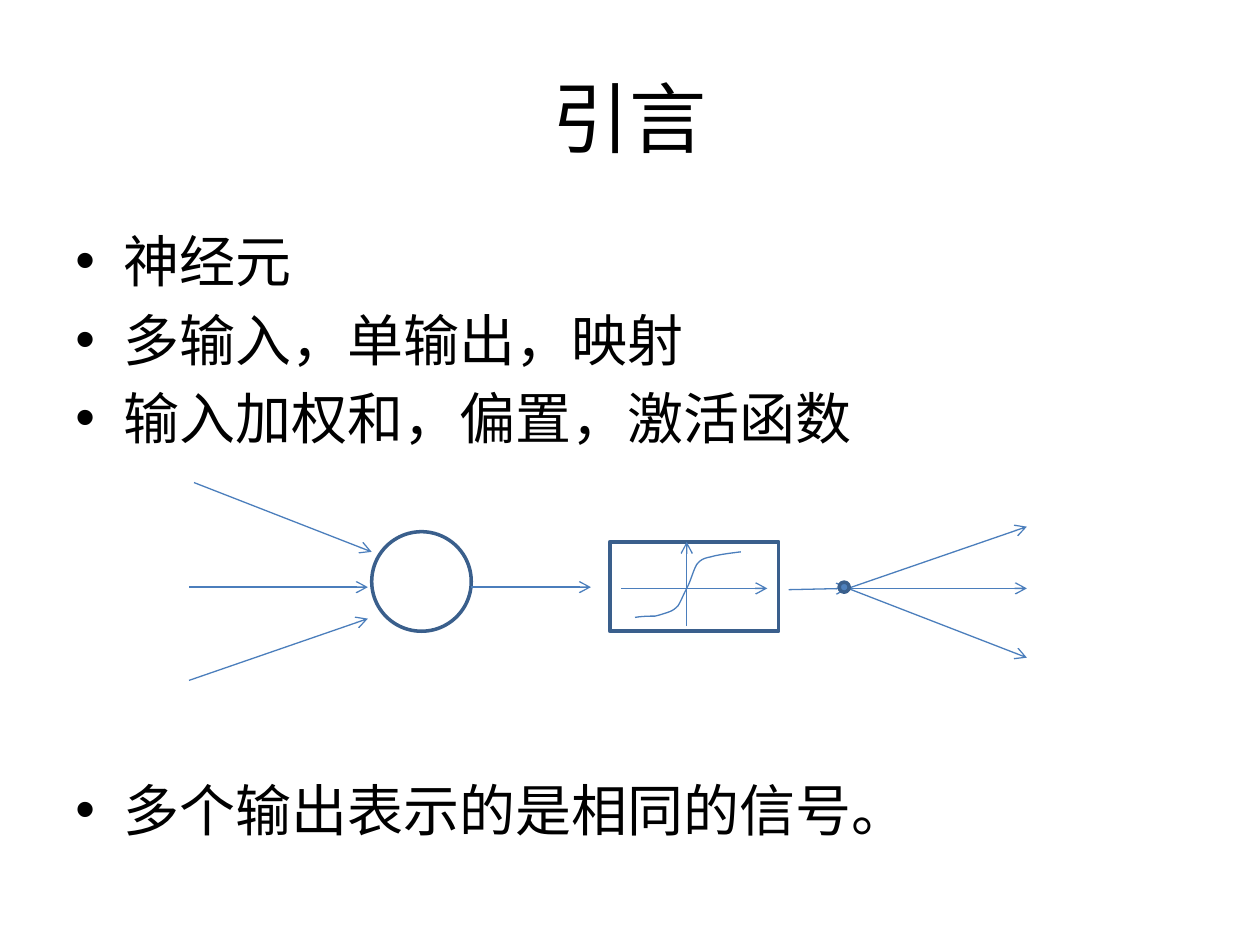
from pptx import Presentation
from pptx.dml.color import RGBColor
from pptx.enum.shapes import MSO_CONNECTOR, MSO_SHAPE
from pptx.enum.text import MSO_ANCHOR, PP_ALIGN
from pptx.oxml.ns import qn
from pptx.util import Inches, Pt
from lxml.etree import SubElement

BLACK, LINE, OUTLINE, FILL = "000000", "4B7EBC", "3A5F8C", "4F81BD"
BULLETS = ["神经元", "多输入，单输出，映射", "输入加权和，偏置，激活函数", "多个输出表示的是相同的信号。"]
BULLET_GAPS = [0, 6.4, 6.4, 185.5]  # the last gap leaves room for the neuron diagram
NODE = (6.73, 4.67)
ARROWS = [
    ((1.54, 3.83), (2.95, 4.38)),
    ((1.5, 4.66), (2.92, 4.66)),
    ((1.5, 5.4), (2.92, 4.91)),
    ((3.74, 4.66), (4.69, 4.66)),
    ((6.26, 4.68), NODE),
    *((NODE, (8.15, y)) for y in (4.18, 4.67, 5.22)),
]
AXES = [((4.93, 4.67), (6.09, 4.67)), ((5.45, 4.97), (5.45, 4.3))]
SIGMOID_START = (5.04, 4.9)
SIGMOID = [  # two control points and an end point per cubic segment
    ((5.1, 4.89), (5.16, 4.89), (5.2, 4.89)),
    ((5.24, 4.88), (5.27, 4.87), (5.3, 4.86)),
    ((5.33, 4.85), (5.35, 4.84), (5.38, 4.81)),
    ((5.4, 4.78), (5.42, 4.73), (5.45, 4.67)),
    ((5.48, 4.62), (5.5, 4.53), (5.53, 4.48)),
    ((5.56, 4.44), (5.59, 4.43), (5.64, 4.42)),
    ((5.7, 4.4), (5.88, 4.38), (5.88, 4.38)),
]


def rgb(color):
    return RGBColor.from_string(color)


def set_line(s, color, width):
    s.line.color.rgb = rgb(color)
    s.line.width = Pt(width)


def add_bullet(p, indent=0.38):
    pPr = p._p.get_or_add_pPr()
    pPr.set("marL", str(Inches(indent)))
    pPr.set("indent", str(-Inches(indent)))
    SubElement(pPr, qn("a:buFont"), typeface="Arial")
    SubElement(pPr, qn("a:buChar"), char="•")


def add_text(slide, box, lines, size, gaps=(0,), align=PP_ALIGN.LEFT,
             anchor=MSO_ANCHOR.TOP, bullet=False):
    tf = slide.shapes.add_textbox(*map(Inches, box)).text_frame
    tf.word_wrap = True
    tf.vertical_anchor = anchor
    for i, (line, gap) in enumerate(zip(lines, gaps)):
        p = tf.add_paragraph() if i else tf.paragraphs[0]
        p.alignment = align
        p.space_before = Pt(gap)
        if bullet:
            add_bullet(p)
        r = p.add_run()
        r.text = line
        r.font.name = "Calibri"
        r.font.size = Pt(size)
        r.font.color.rgb = rgb(BLACK)


def add_outline(slide, kind, box, fill=None):
    s = slide.shapes.add_shape(kind, *map(Inches, box))
    s.shadow.inherit = False
    set_line(s, OUTLINE, 2)
    if fill:
        s.fill.solid()
        s.fill.fore_color.rgb = rgb(fill)
    else:
        s.fill.background()


def add_arrow(slide, start, end):
    s = slide.shapes.add_connector(MSO_CONNECTOR.STRAIGHT, *map(Inches, start + end))
    set_line(s, LINE, 0.75)
    SubElement(s.line._get_or_add_ln(), qn("a:tailEnd"), type="arrow")
    SubElement(s._element.spPr, qn("a:effectLst"))


def curve_points(start, segments, steps=6):
    """Sample a chain of cubic Bézier segments."""
    points = []
    for a, b, end in segments:
        for t in (i / steps for i in range(1, steps + 1)):
            u = 1 - t
            points.append(tuple(
                u**3 * p0 + 3 * u * u * t * p1 + 3 * u * t * t * p2 + t**3 * p3
                for p0, p1, p2, p3 in zip(start, a, b, end)))
        start = end
    return points


def add_curve(slide, start, segments):
    builder = slide.shapes.build_freeform(*map(Inches, start))
    points = [tuple(map(Inches, point)) for point in curve_points(start, segments)]
    builder.add_line_segments(points, close=False)
    s = builder.convert_to_shape()
    s.shadow.inherit = False
    s.fill.background()
    set_line(s, LINE, 0.75)


def main():
    prs = Presentation()
    prs.slide_width, prs.slide_height = Inches(10), Inches(7.5)
    slide = prs.slides.add_slide(prs.slide_layouts[6])

    add_text(slide, (0.5, 0.3, 9, 1.25), ["引言"], 44,
             align=PP_ALIGN.CENTER, anchor=MSO_ANCHOR.MIDDLE)
    add_text(slide, (0.5, 1.75, 9, 4.95), BULLETS, 32, gaps=BULLET_GAPS, bullet=True)

    add_outline(slide, MSO_SHAPE.OVAL, (2.95, 4.22, 0.79, 0.79))
    add_outline(slide, MSO_SHAPE.RECTANGLE, (4.84, 4.3, 1.34, 0.71))
    for start, end in AXES + ARROWS:
        add_arrow(slide, start, end)
    add_curve(slide, SIGMOID_START, SIGMOID)
    add_outline(slide, MSO_SHAPE.OVAL, (6.66, 4.62, 0.08, 0.08), fill=FILL)

    prs.save("out.pptx")


if __name__ == "__main__":
    main()
